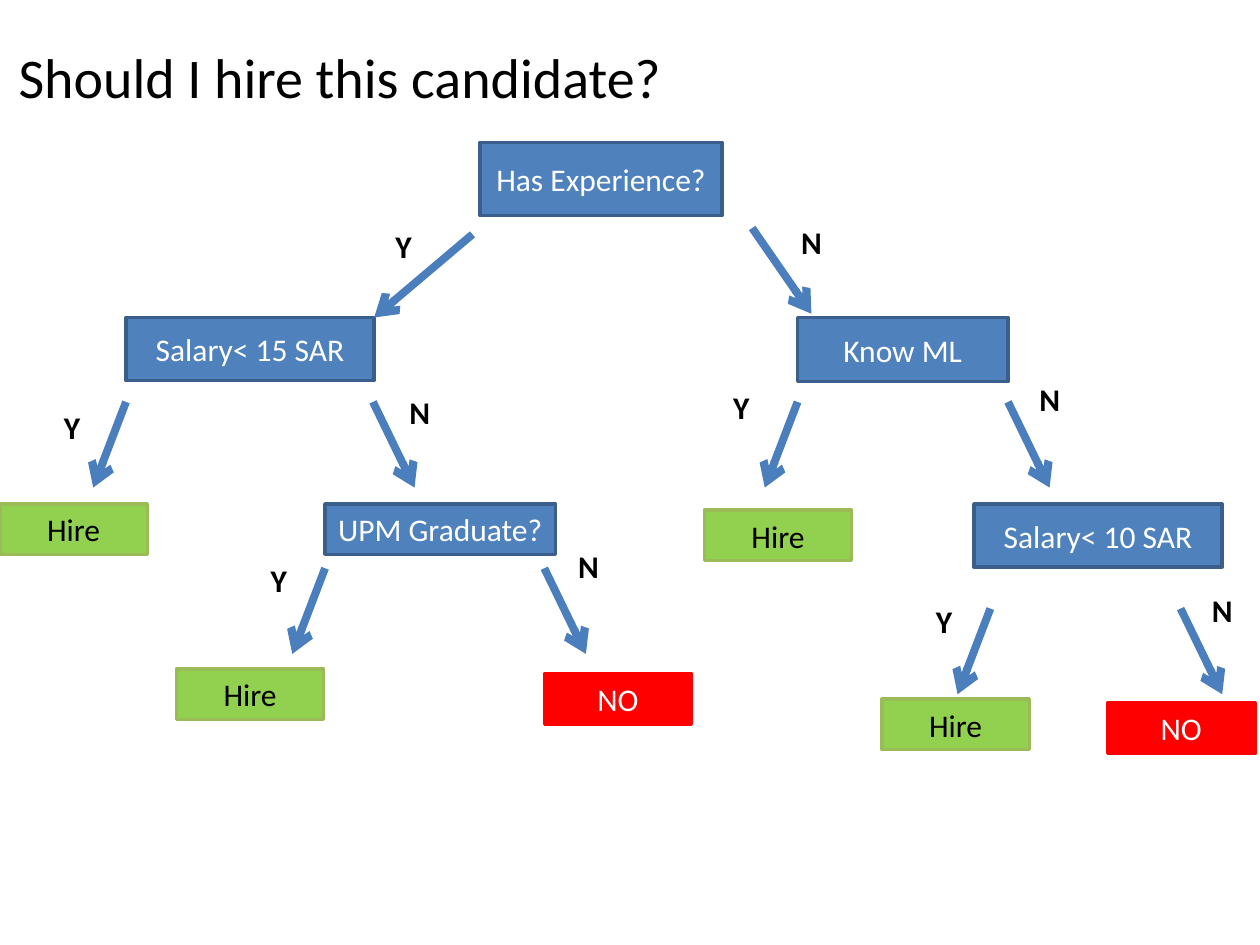
"""Build a slide with a hiring decision tree."""
from dataclasses import dataclass

from lxml.etree import SubElement
from pptx import Presentation
from pptx.dml.color import RGBColor
from pptx.enum.shapes import MSO_CONNECTOR, MSO_SHAPE
from pptx.enum.text import MSO_ANCHOR, MSO_AUTO_SIZE, PP_ALIGN
from pptx.oxml.ns import qn
from pptx.slide import Slide
from pptx.text.text import TextFrame
from pptx.util import Inches, Pt

COLORS = {
    "question": "4F81BD", "question_line": "3A5F8C",
    "hire": "92D050", "hire_line": "9BBB59",
    "no": "FF0000", "no_line": "FF0000",
    "arrow": "4B7EBC", "black": "000000", "white": "FFFFFF",
}
TEXT_COLORS = {"question": "white", "hire": "black", "no": "white"}
LABEL_WIDTHS = {"Y": 0.33, "N": 0.36}
RUNS = {"Y": -0.26, "N": 0.33}
DROP = 0.68


@dataclass
class Node:
    text: str
    kind: str
    x: float
    y: float
    w: float = 1.17
    h: float = 0.4


@dataclass
class Branch:
    answer: str
    x: float
    y: float
    label_x: float
    label_y: float
    run: float | None = None
    drop: float = DROP


NODES = [
    Node("Has Experience?", "question", 3.81, 1.13, 1.92, 0.58),
    Node("Salary< 15 SAR", "question", 1, 2.52, 1.97, 0.5),
    Node("Know ML", "question", 6.33, 2.52, 1.67, 0.51),
    Node("Hire", "hire", 0, 4),
    Node("UPM Graduate?", "question", 2.58, 4, 1.83),
    Node("Hire", "hire", 5.59, 4.05),
    Node("Salary< 10 SAR", "question", 7.73, 4, 1.97, 0.5),
    Node("Hire", "hire", 1.4, 5.31),
    Node("NO", "no", 4.32, 5.35),
    Node("Hire", "hire", 7, 5.55),
    Node("NO", "no", 8.79, 5.58),
]
BRANCHES = [
    Branch("Y", 3.75, 1.86, 3.04, 1.75, run=-0.78, drop=0.66),
    Branch("N", 5.97, 1.81, 6.26, 1.72, run=0.47),
    Branch("Y", 1, 3.19, 0.41, 3.19),
    Branch("N", 2.96, 3.19, 3.15, 3.07),
    Branch("Y", 6.33, 3.19, 5.72, 3.03),
    Branch("N", 8, 3.19, 8.15, 2.97),
    Branch("Y", 2.58, 4.51, 2.05, 4.4),
    Branch("N", 4.32, 4.51, 4.49, 4.29),
    Branch("Y", 7.86, 4.83, 7.33, 4.73),
    Branch("N", 9.37, 4.83, 9.52, 4.64),
]


def rgb(name: str) -> RGBColor:
    return RGBColor.from_string(COLORS[name])


def write(tf: TextFrame, text: str, color: str = "black", size: int = 18,
          bold: bool = False, align: PP_ALIGN = PP_ALIGN.CENTER) -> None:
    p = tf.paragraphs[0]
    p.text = text
    p.alignment = align
    p.font.name = "Calibri"
    p.font.size = Pt(size)
    p.font.bold = bold
    p.font.color.rgb = rgb(color)


def add_title(s: Slide, text: str) -> None:
    tf = s.shapes.add_textbox(Inches(-1.75), Inches(-0.02), Inches(9), Inches(1.25)).text_frame
    tf.word_wrap = True
    tf.vertical_anchor = MSO_ANCHOR.MIDDLE
    write(tf, text, size=32)


def add_node(s: Slide, node: Node) -> None:
    sp = s.shapes.add_shape(MSO_SHAPE.RECTANGLE, Inches(node.x), Inches(node.y),
                            Inches(node.w), Inches(node.h))
    sp.shadow.inherit = False
    sp.fill.solid()
    sp.fill.fore_color.rgb = rgb(node.kind)
    sp.line.color.rgb = rgb(f"{node.kind}_line")
    sp.line.width = Pt(2)
    sp.text_frame.vertical_anchor = MSO_ANCHOR.MIDDLE
    write(sp.text_frame, node.text, TEXT_COLORS[node.kind])


def add_branch(s: Slide, branch: Branch) -> None:
    run = RUNS[branch.answer] if branch.run is None else branch.run
    arrow = s.shapes.add_connector(MSO_CONNECTOR.STRAIGHT, Inches(branch.x), Inches(branch.y),
                                   Inches(branch.x + run), Inches(branch.y + branch.drop))
    arrow.line.color.rgb = rgb("arrow")
    arrow.line.width = Pt(4.5)
    SubElement(arrow.line._get_or_add_ln(), qn("a:tailEnd"), type="arrow")
    SubElement(arrow._element.spPr, qn("a:effectLst"))

    label = s.shapes.add_textbox(Inches(branch.label_x), Inches(branch.label_y),
                                 Inches(LABEL_WIDTHS[branch.answer]), Inches(0.4))
    tf = label.text_frame
    tf.word_wrap = False
    tf.auto_size = MSO_AUTO_SIZE.SHAPE_TO_FIT_TEXT
    write(tf, branch.answer, bold=True, align=PP_ALIGN.LEFT)


def main() -> None:
    prs = Presentation()
    prs.slide_width, prs.slide_height = Inches(10), Inches(7.5)
    s = prs.slides.add_slide(prs.slide_layouts[6])
    add_title(s, "Should I hire this candidate? ")
    for node in NODES:
        add_node(s, node)
    for branch in BRANCHES:
        add_branch(s, branch)
    prs.save("out.pptx")


main()
